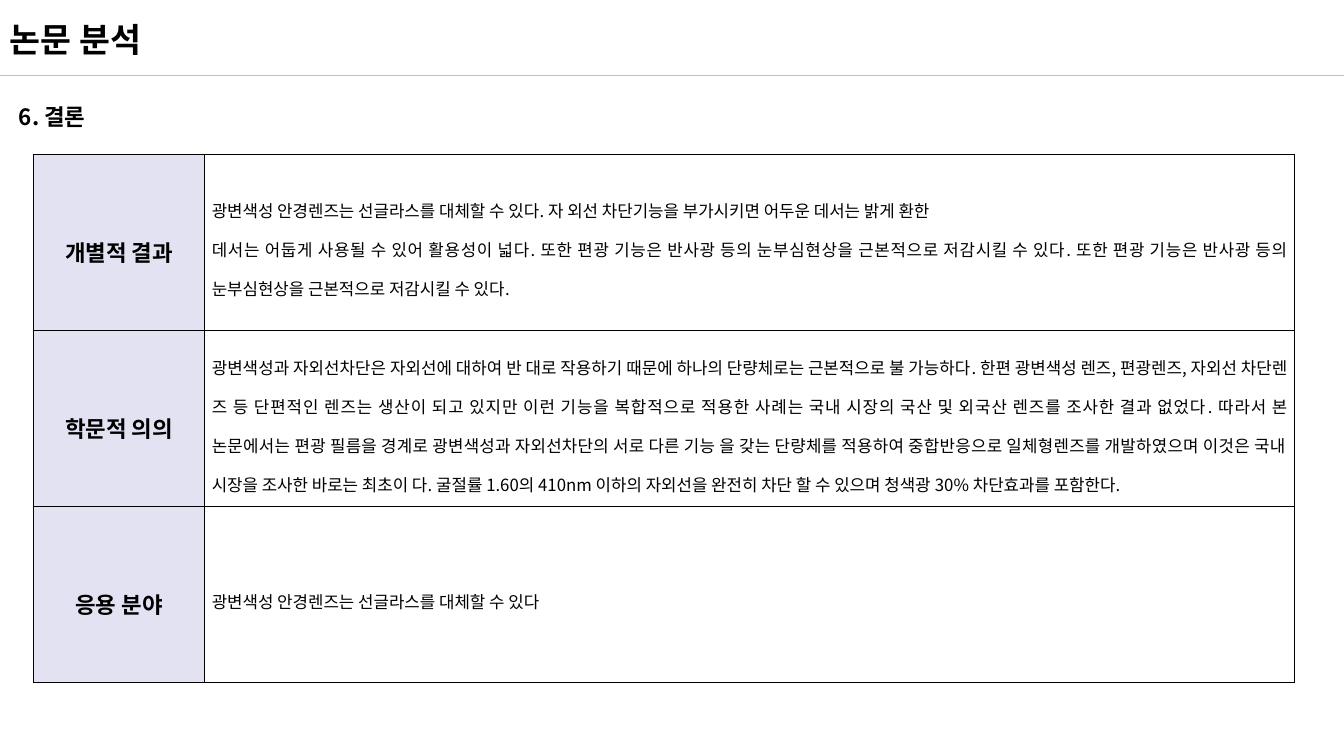
from dataclasses import dataclass

from lxml import etree
from pptx import Presentation
from pptx import util as u
from pptx.dml.color import RGBColor
from pptx.enum import shapes, text
from pptx.oxml import ns


@dataclass(frozen=True)
class Theme:
    """Colours, fonts and type sizes of the slide."""
    ink: str = "000000"
    rule: str = "BFBFBF"
    label_fill: str = "E3E2F2"
    korean: str = "Noto Sans CJK KR"
    latin: str = "Arial"
    title: int = 24
    heading: int = 16
    body: int = 12


theme = Theme()


def write(frame, words, size, font, bold, spacing=1.0, align=None):
    """Fill a text frame and format every paragraph alike."""
    frame.word_wrap = True
    frame.text = words
    for paragraph in frame.paragraphs:
        paragraph.line_spacing = spacing
        paragraph.alignment = align
        for run in paragraph.runs:
            run.font.size = u.Pt(size)
            run.font.bold = bold
            run.font.name = font
            run.font.color.rgb = RGBColor.from_string(theme.ink)
            east_asian = etree.SubElement(run.font._element, ns.qn("a:ea"))
            east_asian.set("typeface", theme.korean)


def border(cell):
    """Draw a hairline on all four sides of a table cell."""
    properties = cell._tc.get_or_add_tcPr()
    for position, side in enumerate(("a:lnL", "a:lnR", "a:lnT", "a:lnB")):
        line = etree.Element(ns.qn(side), w=str(u.Pt(0.28)))
        fill = etree.SubElement(line, ns.qn("a:solidFill"))
        etree.SubElement(fill, ns.qn("a:srgbClr"), val=theme.ink)
        properties.insert(position, line)


prs = Presentation()
prs.slide_width, prs.slide_height = u.Pt(960), u.Pt(540)
slide = prs.slides.add_slide(prs.slide_layouts[6])

header_rule = slide.shapes.add_connector(
    shapes.MSO_CONNECTOR.STRAIGHT, u.Pt(0), u.Pt(54), u.Pt(960), u.Pt(54))
header_rule.line.color.rgb = RGBColor.from_string(theme.rule)
header_rule.line.width = u.Pt(0.5)
etree.SubElement(header_rule._element.spPr, ns.qn("a:effectLst"))

headings = [
    ("논문 분석", 0, 10, 924.5, 36, theme.title, 1.0),
    ("6. 결론", 6.5, 60.5, 925, 65.5, theme.heading, 1.5),
]
for words, left, top, width, height, size, spacing in headings:
    heading = slide.shapes.add_textbox(
        u.Pt(left), u.Pt(top), u.Pt(width), u.Pt(height))
    write(heading.text_frame, words, size, theme.korean, True, spacing)

conclusions = [
    ("개별적 결과",
     "광변색성 안경렌즈는 선글라스를 대체할 수 있다. 자 외선 차단기능을 "
     "부가시키면 어두운 데서는 밝게 환한\n"
     "데서는 어둡게 사용될 수 있어 활용성이 넓다. 또한 편광 기능은 반사광 "
     "등의 눈부심현상을 근본적으로 저감시킬 수 있다. 또한 편광 기능은 반사광 "
     "등의 눈부심현상을 근본적으로 저감시킬 수 있다."),
    ("학문적 의의",
     "광변색성과 자외선차단은 자외선에 대하여 반 대로 작용하기 때문에 하나의 "
     "단량체로는 근본적으로 불 가능하다. 한편 광변색성 렌즈, 편광렌즈, 자외선 "
     "차단렌 즈 등 단편적인 렌즈는 생산이 되고 있지만 이런 기능을 복합적으로 "
     "적용한 사례는 국내 시장의 국산 및 외국산 렌즈를 조사한 결과 없었다. "
     "따라서 본 논문에서는 편광 필름을 경계로 광변색성과 자외선차단의 서로 "
     "다른 기능 을 갖는 단량체를 적용하여 중합반응으로 일체형렌즈를 "
     "개발하였으며 이것은 국내 시장을 조사한 바로는 최초이 다. 굴절률 1.60의 "
     "410nm 이하의 자외선을 완전히 차단 할 수 있으며 청색광 30% 차단효과를 "
     "포함한다."),
    ("응용 분야", "광변색성 안경렌즈는 선글라스를 대체할 수 있다"),
]
label_width, finding_width, row_height = 122.2, 778.5, 125.6
table = slide.shapes.add_table(
    len(conclusions), 2, u.Pt(24), u.Pt(110.3),
    u.Pt(label_width + finding_width),
    u.Pt(row_height * len(conclusions))).table
table.first_row = table.horz_banding = False
table.columns[0].width = u.Pt(label_width)
table.columns[1].width = u.Pt(finding_width)

for row, (label, finding) in zip(table.rows, conclusions):
    row.height = u.Pt(row_height)
    label_cell, finding_cell = row.cells
    for cell in row.cells:
        cell.margin_left = cell.margin_right = u.Pt(5.1)
        cell.margin_top = cell.margin_bottom = u.Pt(1.4)
        cell.vertical_anchor = text.MSO_ANCHOR.MIDDLE
        cell.fill.background()
        border(cell)
    label_cell.fill.solid()
    label_cell.fill.fore_color.rgb = RGBColor.from_string(theme.label_fill)
    write(label_cell.text_frame, label, theme.heading, theme.latin, True,
          1.6, text.PP_ALIGN.CENTER)
    write(finding_cell.text_frame, finding, theme.body, theme.korean, False,
          1.6, text.PP_ALIGN.JUSTIFY)

prs.save("out.pptx")
